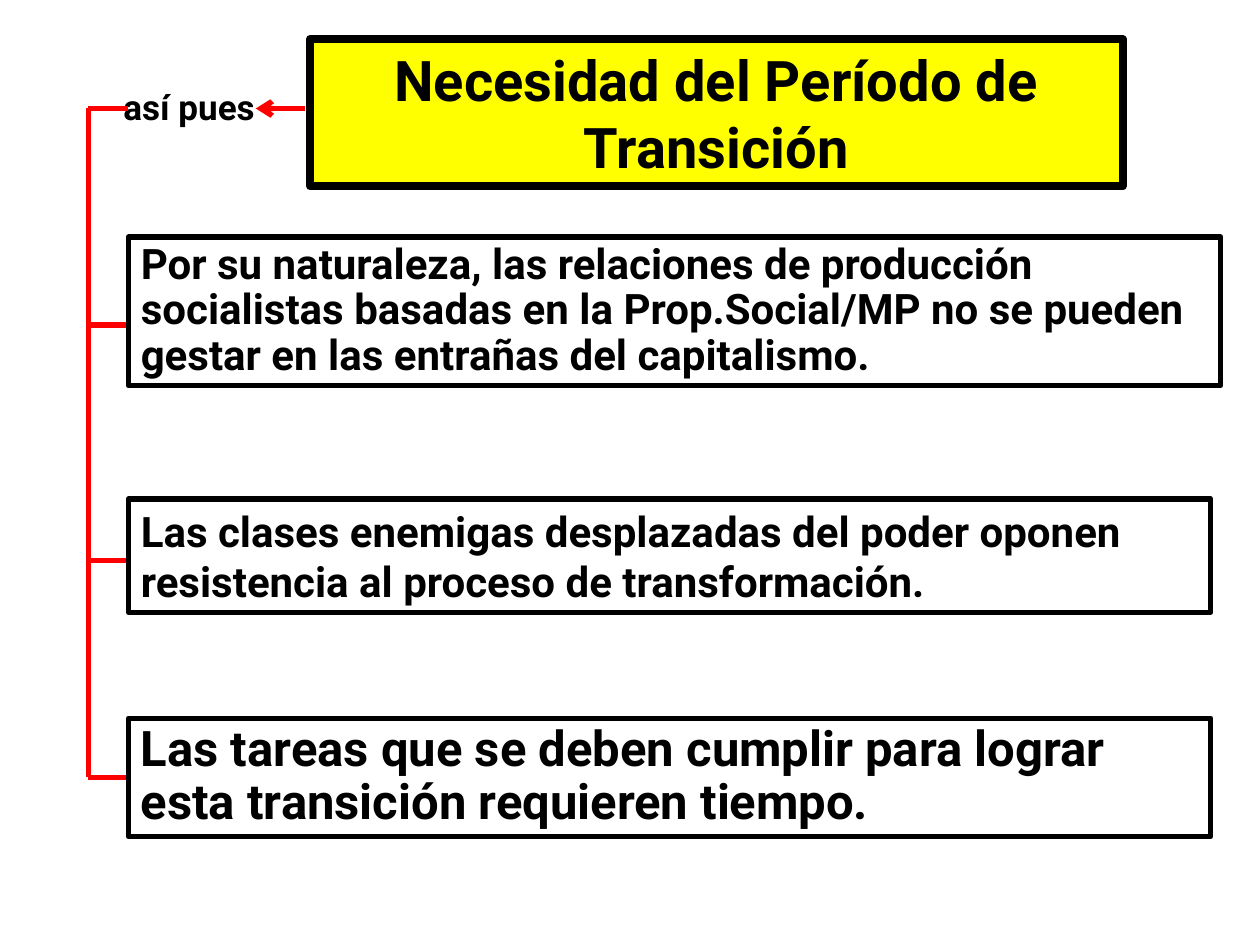
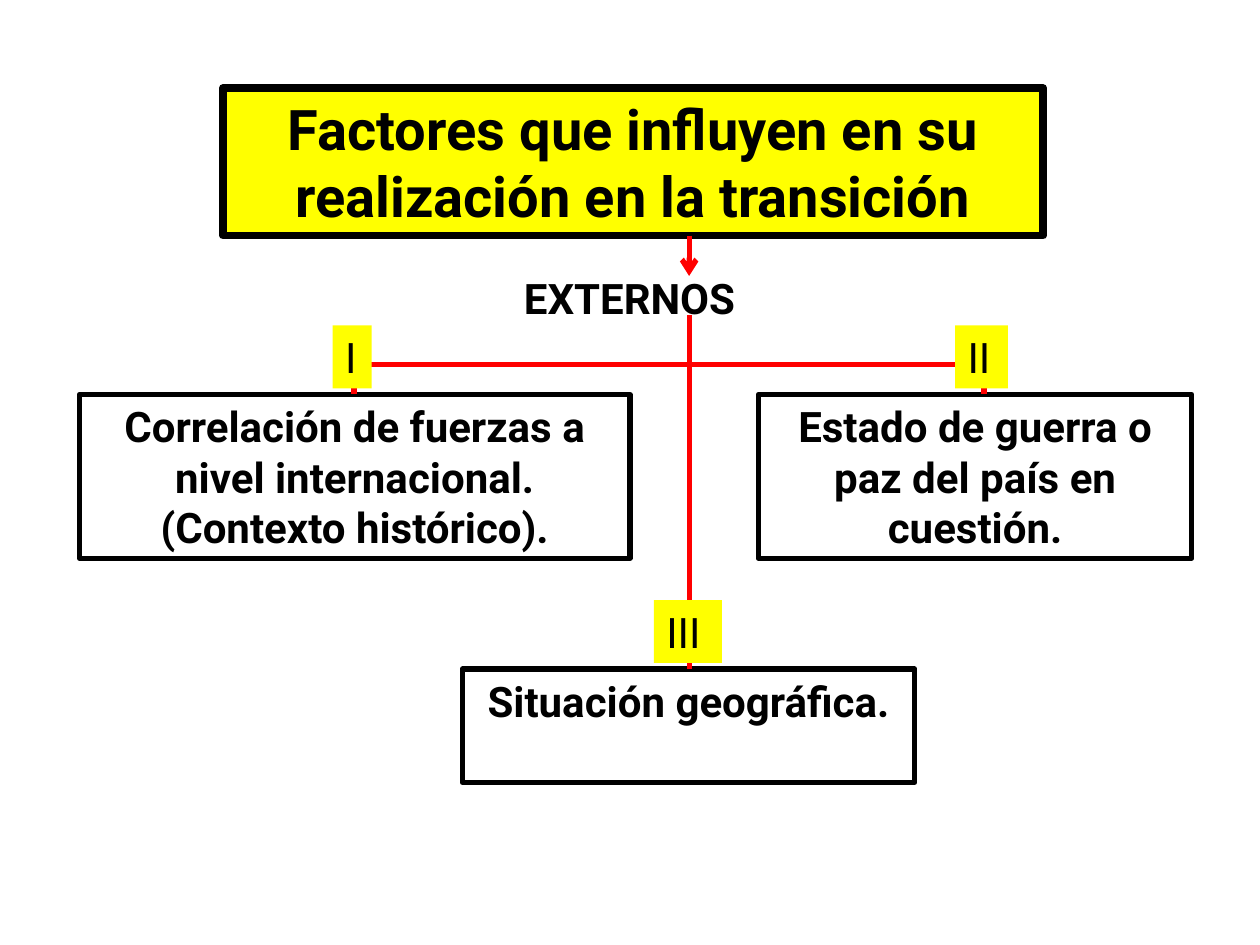
from pptx import Presentation
from pptx.util import Pt
from pptx.dml.color import RGBColor as Rgb
from pptx.enum.shapes import MSO_SHAPE as Kind, MSO_CONNECTOR as Link
from pptx.enum.text import PP_ALIGN as Align, MSO_ANCHOR as Anchor, MSO_AUTO_SIZE as Fit
from lxml.etree import SubElement as Sub
from pptx.oxml.ns import qn

HUES = {"ink": "000000", "gold": "FFFF00", "red": "FF0000"}


class Deck:
    font = "Roboto"
    only = 5

    def __init__(self):
        self.prs = Presentation()
        self.prs.slide_width, self.prs.slide_height = Pt(720), Pt(540)
        self.slide = None

    def hue(self, name):
        return Rgb.from_string(HUES[name])

    def letter(self, shape, text, size, bold=True, align=Align.LEFT, gap=None):
        frame = shape.text_frame
        frame.word_wrap = True
        frame.auto_size = Fit.NONE
        frame.vertical_anchor = Anchor.TOP
        para = frame.paragraphs[0]
        para.alignment = align
        if gap:
            para.line_spacing = gap
        run = para.add_run()
        run.text = text
        font = run.font
        font.name, font.size, font.bold = self.font, Pt(size), bold
        font.color.rgb = self.hue("ink")

    def paint(self, shape, fill=None, line=None):
        if fill:
            shape.fill.solid()
            shape.fill.fore_color.rgb = self.hue(fill)
        else:
            shape.fill.background()
        if line:
            shape.line.color.rgb = self.hue("ink")
            shape.line.width = Pt(line)
        else:
            shape.line.fill.background()

    def title(self, text, x, y, w, h):
        self.slide = self.prs.slides.add_slide(self.prs.slide_layouts[self.only])
        head = self.slide.shapes.title
        head.left, head.top, head.width, head.height = Pt(x), Pt(y), Pt(w), Pt(h)
        self.paint(head, "gold", 4.5)
        self.letter(head, text, 32, align=Align.CENTER)

    def rect(self, x, y, w, h, fill=None, line=None):
        shape = self.slide.shapes.add_shape(Kind.RECTANGLE, Pt(x), Pt(y), Pt(w), Pt(h))
        shape.shadow.inherit = False
        self.paint(shape, fill, line)
        return shape

    def box(self, text, x, y, w, h, size=24, align=Align.LEFT, gap=None):
        self.letter(self.rect(x, y, w, h, line=3), text, size, align=align, gap=gap)

    def tag(self, text, x, y, w):
        self.letter(self.rect(x, y, w, 36, fill="gold"), text, 24, bold=False)

    def label(self, text, x, y, w, h, size):
        area = self.slide.shapes.add_textbox(Pt(x), Pt(y), Pt(w), Pt(h))
        self.letter(area, text, size)

    def line(self, x1, y1, x2, y2, arrow=False):
        link = self.slide.shapes.add_connector(
            Link.STRAIGHT, Pt(x1), Pt(y1), Pt(x2), Pt(y2))
        link.line.color.rgb = self.hue("red")
        link.line.width = Pt(3)
        props = link._element.spPr
        if arrow:
            Sub(props.find(qn("a:ln")), qn("a:tailEnd"), type="arrow")
        Sub(props, qn("a:effectLst"))

    def save(self):
        self.prs.save("out.pptx")


def needs(deck):
    deck.title("Necesidad del Período de Transición", 177.2, 22.3, 464.4, 84.2)
    deck.label("así pues", 63.4, 45.4, 95, 31.7, 20)
    stem, edge = 50.4, 73.4
    ticks = [62, 185.8, 320.4, 444.2]
    deck.line(stem, ticks[0], stem, ticks[-1])
    for y in ticks:
        deck.line(stem, y, edge, y)
    rows = [
        ("Por su naturaleza, las relaciones de producción socialistas basadas en la "
         "Prop.Social/MP no se pueden gestar en las entrañas del capitalismo.",
         135.4, 624.2, 85, 24, 0.9),
        ("Las clases enemigas desplazadas del poder oponen resistencia al proceso "
         "de transformación.", 285.1, 618.5, 64.8, 24, None),
        ("Las tareas que se deben cumplir para lograr esta transición requieren tiempo.",
         410.4, 618.5, 67.7, 28, 0.9),
    ]
    for text, y, w, h, size, gap in rows:
        deck.box(text, edge, y, w, h, size, gap=gap)
    deck.line(174.5, ticks[0], 146.2, ticks[0], arrow=True)


def factors(deck):
    deck.title("Factores que influyen en su realización en la transición",
               127.4, 50.4, 468.7, 84.2)
    deck.label("EXTERNOS", 292.3, 151.9, 234.7, 36, 24)
    mid, bar, top, low = 393.8, 208.1, 225.4, 382.3
    left, right = 202.3, 562.3
    boxes = [
        ("Correlación de fuerzas a nivel internacional. (Contexto histórico).",
         45.4, top, 314.6, 93.6),
        ("Estado de guerra o paz del país en cuestión.", 433.4, top, 247.7, 93.6),
        ("Situación geográfica.", 264.2, low, 258.5, 64.8),
    ]
    for spot in boxes:
        deck.box(*spot, align=Align.CENTER)
    deck.line(mid, 134.6, mid, 157.7, arrow=True)
    for x in (left, right):
        deck.line(x, bar, x, top)
    deck.line(right, bar, left, bar)
    deck.line(mid, 180, mid, low)
    tags = [("I", 190.1, top, 22.3), ("II", 545.8, top, 30.2), ("III", 373.7, low, 38.9)]
    for text, x, y, w in tags:
        deck.tag(text, x, y - 39.4, w)


def main():
    deck = Deck()
    needs(deck)
    factors(deck)
    deck.save()


if __name__ == "__main__":
    main()
